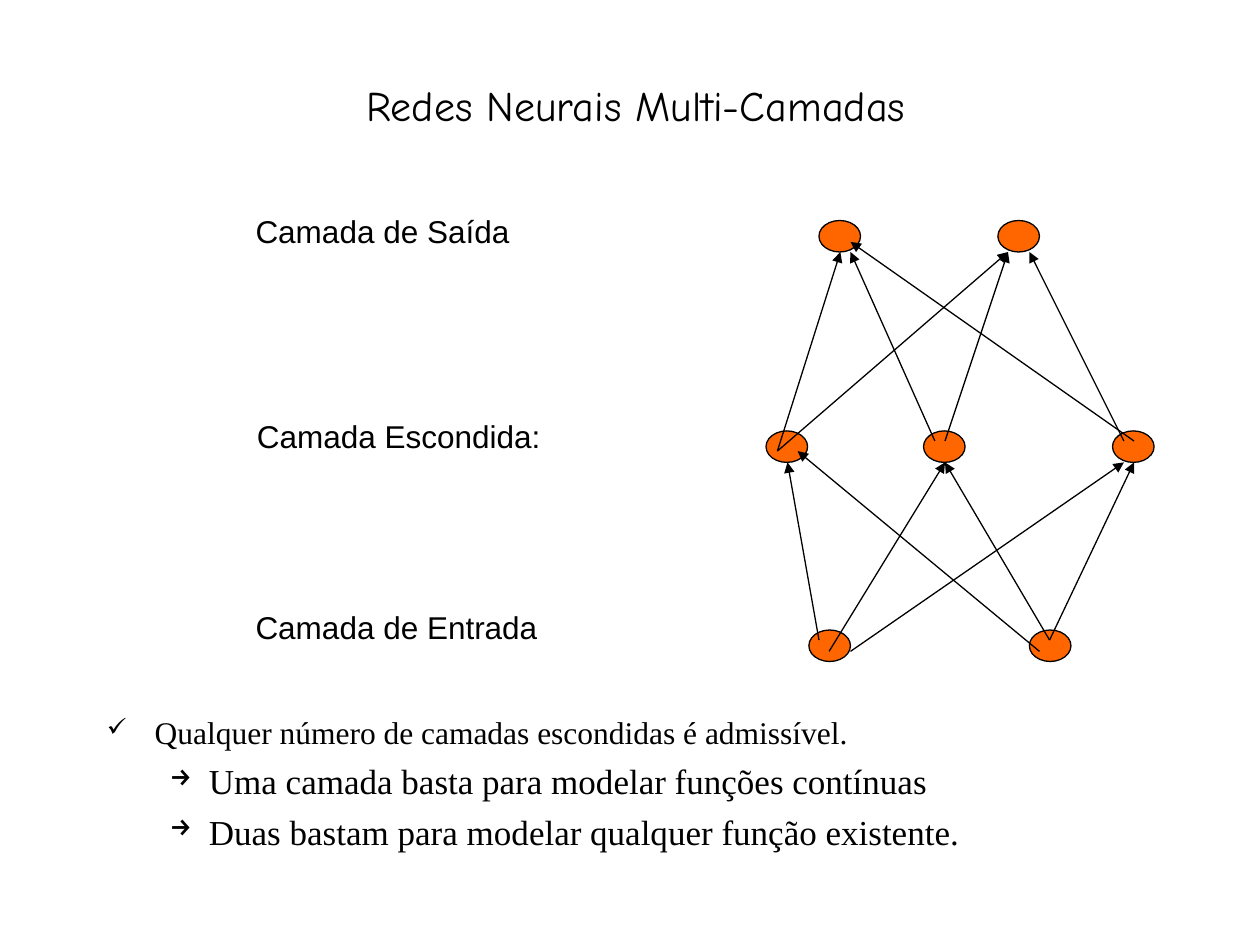
from pptx import Presentation
from pptx.dml.color import RGBColor
from pptx.enum.shapes import MSO_CONNECTOR, MSO_SHAPE
from pptx.enum.text import MSO_ANCHOR, PP_ALIGN
from pptx.oxml.ns import qn
from pptx.util import Inches, Pt
from lxml import etree

OVAL = MSO_SHAPE.OVAL
STRAIGHT = MSO_CONNECTOR.STRAIGHT
TOP, BOTTOM = MSO_ANCHOR.TOP, MSO_ANCHOR.BOTTOM
LEFT, CENTER, JUSTIFY = PP_ALIGN.LEFT, PP_ALIGN.CENTER, PP_ALIGN.JUSTIFY

COLORS = {"ink": "000000", "neuron": "FF6600", "paper": "FFFFFF"}
BLANK_LAYOUT = 6
NEURON_WIDTH, NEURON_HEIGHT = 0.33, 0.25
LINE_WIDTH = 0.75

LAYER_LABELS = [
    ("Camada de Saída", 1.93, 1.63),
    ("Camada Escondida:", 1.94, 3.26),
    ("Camada de Entrada", 1.93, 4.78),
]

# Top of each layer and the left edges of its neurons
LAYERS = [
    (1.75, [6.5, 7.92]),
    (3.42, [6.08, 7.33, 8.83]),
    (5.0, [6.42, 8.17]),
]

SYNAPSES = [
    # input to hidden
    ((6.5, 5.08), (6.25, 3.67)),
    ((6.58, 5.17), (7.5, 3.67)),
    ((6.75, 5.17), (8.92, 3.67)),
    ((8.33, 5.08), (9, 3.67)),
    ((8.33, 5.08), (7.5, 3.67)),
    ((8.25, 5.17), (6.33, 3.58)),
    # hidden to output
    ((6.17, 3.58), (6.67, 2)),
    ((7.5, 3.5), (8, 2)),
    ((6.17, 3.58), (8, 2)),
    ((7.42, 3.5), (6.75, 2)),
    ((8.92, 3.5), (8.17, 2)),
    ((9, 3.5), (6.75, 1.92)),
]

# Text, level, bullet, text indent, bullet hang, size, space before
NOTES = [
    ("Qualquer número de camadas escondidas é admissível.",
     0, "✓", 0.38, 0.38, 18, 0),
    ("Uma camada basta para modelar funções contínuas",
     1, "→", 0.81, 0.31, 20, 5),
    ("Duas bastam para modelar qualquer função existente.",
     1, "→", 0.81, 0.31, 20, 5),
]


def color(name):
    return RGBColor.from_string(COLORS[name])


def add_frame(slide, left, top, width, height, anchor=TOP):
    box = slide.shapes.add_textbox(
        Inches(left), Inches(top), Inches(width), Inches(height))
    frame = box.text_frame
    frame.word_wrap = True
    frame.vertical_anchor = anchor
    return frame


def write(paragraph, text, size, font, align=LEFT):
    paragraph.alignment = align
    run = paragraph.add_run()
    run.text = text
    run.font.size = Pt(size)
    run.font.name = font
    run.font.color.rgb = color("ink")


def add_bullet(paragraph, char, indent, hang):
    properties = paragraph._p.get_or_add_pPr()
    properties.set("marL", str(Inches(indent)))
    properties.set("indent", str(-Inches(hang)))
    bullet_color = etree.SubElement(properties, qn("a:buClr"))
    etree.SubElement(bullet_color, qn("a:srgbClr"), val=COLORS["ink"])
    etree.SubElement(properties, qn("a:buSzPct"), val="80000")
    etree.SubElement(properties, qn("a:buChar"), char=char)


def add_notes(slide):
    frame = add_frame(slide, 0.75, 5.61, 8.5, 1.6)
    for i, (text, level, char, indent, hang, size, before) in enumerate(NOTES):
        paragraph = frame.add_paragraph() if i else frame.paragraphs[0]
        add_bullet(paragraph, char, indent, hang)
        paragraph.level = level
        paragraph.space_before = Pt(before)
        write(paragraph, text, size, "Times New Roman", JUSTIFY)


def add_neuron(slide, left, top):
    neuron = slide.shapes.add_shape(
        OVAL, Inches(left), Inches(top),
        Inches(NEURON_WIDTH), Inches(NEURON_HEIGHT))
    neuron.shadow.inherit = False
    neuron.fill.solid()
    neuron.fill.fore_color.rgb = color("neuron")
    neuron.line.color.rgb = color("ink")
    neuron.line.width = Pt(LINE_WIDTH)


def add_synapse(slide, start, end):
    synapse = slide.shapes.add_connector(
        STRAIGHT, *(Inches(value) for value in start + end))
    synapse.line.color.rgb = color("ink")
    synapse.line.width = Pt(LINE_WIDTH)
    etree.SubElement(synapse.line._get_or_add_ln(), qn("a:tailEnd"),
                     type="triangle")
    etree.SubElement(synapse._element.spPr, qn("a:effectLst"))


def main():
    presentation = Presentation()
    presentation.slide_width = Inches(10)
    presentation.slide_height = Inches(7.5)
    slide = presentation.slides.add_slide(
        presentation.slide_layouts[BLANK_LAYOUT])
    slide.background.fill.solid()
    slide.background.fill.fore_color.rgb = color("paper")

    title = add_frame(slide, 0.17, 0, 9.75, 1.08, BOTTOM)
    write(title.paragraphs[0], "Redes Neurais Multi-Camadas", 24,
          "Comic Neue", CENTER)
    add_notes(slide)
    for text, left, top in LAYER_LABELS:
        label = add_frame(slide, left, top, 3.87, 0.4)
        write(label.paragraphs[0], text, 18, "Arial")
    for top, lefts in LAYERS:
        for left in lefts:
            add_neuron(slide, left, top)
    for start, end in SYNAPSES:
        add_synapse(slide, start, end)

    presentation.save("out.pptx")


if __name__ == "__main__":
    main()
